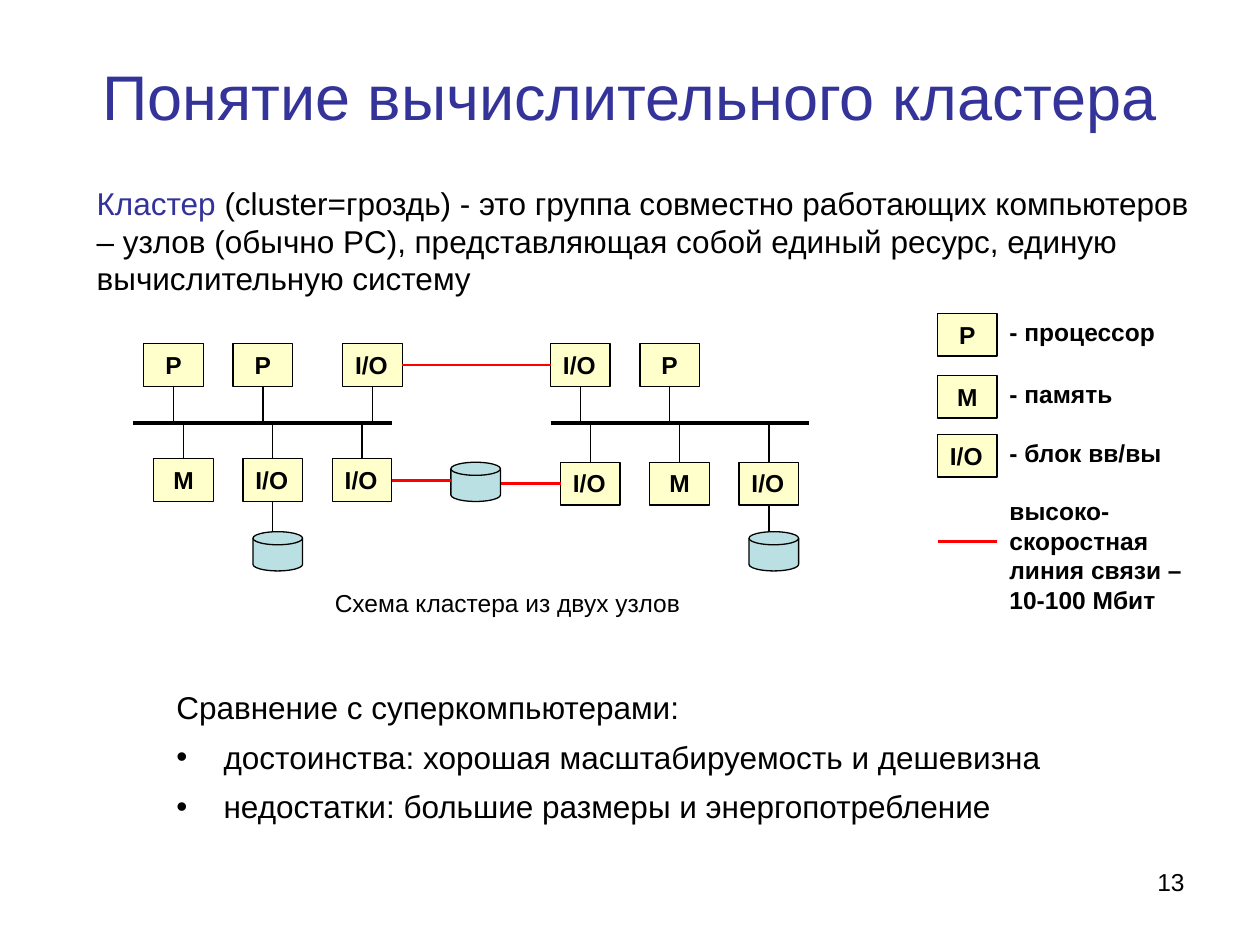
"""Build the slide that explains what a computing cluster is."""
from dataclasses import dataclass
from typing import Optional

from lxml.etree import SubElement
from pptx import Presentation
from pptx.dml.color import RGBColor
from pptx.enum.shapes import MSO_CONNECTOR, MSO_SHAPE
from pptx.enum.text import MSO_ANCHOR, MSO_AUTO_SIZE, PP_ALIGN
from pptx.oxml.ns import qn
from pptx.util import Cm, Pt

BLACK, RED, BLUE = "000000", "FF0000", "333399"
CREAM, AQUA = "FFFFCC", "BBE0E3"
BOX_WIDTH, BOX_HEIGHT, BOX_PITCH = 1.2, 0.86, 1.8
DISK_WIDTH, DISK_HEIGHT, DISK_TOP = 1.0, 0.79, 10.72
BUS_TOP, BUS_LENGTH, UPPER_TOP = 8.53, 5.21, 6.93
LEGEND_LEFT = 18.9
TOP, LEFT, BOTTOM, RIGHT = range(4)

TITLE = {"name": "Arial", "size": Pt(36), "bold": False}
BODY = {"name": "Arial", "size": Pt(18), "bold": False}
SMALL = {"name": "Arial", "size": Pt(14), "bold": False}
LABEL = {"name": "Arial", "size": Pt(14), "bold": True}


@dataclass
class Node:
    """A cluster node: boxes above and below one bus."""
    bus_left: float
    upper: tuple
    lower_left: float
    lower_top: float
    lower: tuple
    disk_index: int


@dataclass
class End:
    """One end of a line, perhaps glued to a side of a box."""
    x: float
    y: float
    box: Optional[object] = None
    side: int = TOP


NODES = (
    Node(2.69, (("P", 2.9), ("P", 4.7), ("I/O", 6.91)), 3.1, 9.25, ("M", "I/O", "I/O"), 1),
    Node(11.1, (("I/O", 11.1), ("P", 12.9)), 11.3, 9.32, ("I/O", "M", "I/O"), 2),
)
LEGEND = (("P", "- процессор", 6.32), ("M", "- память", 7.57), ("I/O", "- блок вв/вы", 8.76))


def colour(value: str) -> RGBColor:
    """Turn a hex string into a colour."""
    return RGBColor.from_string(value)


def write(para, text: str, style: dict, ink: str = BLACK) -> None:
    """Add a formatted span to a paragraph."""
    span = para.add_run()
    span.text = text
    for name, value in style.items():
        setattr(span.font, name, value)
    span.font.color.rgb = colour(ink)


def place(shape, left: float, top: float, width: float, height: float) -> None:
    """Move and size a shape, in centimetres."""
    for name, value in zip(("left", "top", "width", "height"), (left, top, width, height)):
        setattr(shape, name, Cm(value))


def add_text(page, left: float, top: float, width: float, height: float, spans: tuple,
             before: float = 8.8, align=PP_ALIGN.LEFT):
    """Add a wrapping text box with one paragraph."""
    box = page.shapes.add_textbox(Cm(left), Cm(top), Cm(width), Cm(height))
    box.text_frame.word_wrap = True
    para = box.text_frame.paragraphs[0]
    para.alignment, para.space_before = align, Pt(before)
    for span in spans:
        write(para, *span)
    return box


def add_solid(page, kind, left: float, top: float, width: float, height: float, fill: str):
    """Add a filled preset shape with a thin black outline."""
    shape = page.shapes.add_shape(kind, Cm(left), Cm(top), Cm(width), Cm(height))
    shape.shadow.inherit = False
    shape.fill.solid()
    shape.fill.fore_color.rgb = colour(fill)
    shape.line.color.rgb = colour(BLACK)
    shape.line.width = Pt(0.75)
    return shape


def add_box(page, label: str, left: float, top: float):
    """Add a labelled unit box."""
    box = add_solid(page, MSO_SHAPE.RECTANGLE, left, top, BOX_WIDTH, BOX_HEIGHT, CREAM)
    box.text_frame.word_wrap = False
    box.text_frame.vertical_anchor = MSO_ANCHOR.TOP
    para = box.text_frame.paragraphs[0]
    para.alignment = PP_ALIGN.LEFT if label == "I/O" else PP_ALIGN.CENTER
    para.space_before = Pt(8.8)
    write(para, label, LABEL)
    return box


def add_disk(page, left: float, top: float):
    """Add a disk store."""
    return add_solid(page, MSO_SHAPE.FLOWCHART_MAGNETIC_DISK, left, top,
                     DISK_WIDTH, DISK_HEIGHT, AQUA)


def side_of(box, side: int) -> End:
    """Give the middle of a box's side as a glued line end."""
    across = {LEFT: 0, RIGHT: 1}.get(side, 0.5)
    down = {TOP: 0, BOTTOM: 1}.get(side, 0.5)
    return End(box.left.cm + box.width.cm * across, box.top.cm + box.height.cm * down, box, side)


def add_line(page, begin: End, end: End, ink: str = BLACK, width: float = 0.75) -> None:
    """Draw a straight line and glue the ends that belong to boxes."""
    line = page.shapes.add_connector(MSO_CONNECTOR.STRAIGHT, Cm(begin.x), Cm(begin.y),
                                     Cm(end.x), Cm(end.y))
    if begin.box is not None:
        line.begin_connect(begin.box, begin.side)
    if end.box is not None:
        line.end_connect(end.box, end.side)
    line.line.color.rgb = colour(ink)
    line.line.width = Pt(width)
    SubElement(line._element.spPr, qn("a:effectLst"))


def add_node(page, node: Node) -> tuple:
    """Draw a node and return its upper and lower boxes."""
    upper = [add_box(page, label, left, UPPER_TOP) for label, left in node.upper]
    lower = [add_box(page, label, node.lower_left + BOX_PITCH * index, node.lower_top)
             for index, label in enumerate(node.lower)]
    add_line(page, End(node.bus_left, BUS_TOP), End(node.bus_left + BUS_LENGTH, BUS_TOP),
             width=2.25)
    stems = [side_of(box, BOTTOM) for box in upper] + [side_of(box, TOP) for box in lower]
    for stem in stems:
        add_line(page, stem, End(stem.x, BUS_TOP))
    owner = side_of(lower[node.disk_index], BOTTOM)
    add_disk(page, owner.x - BOX_WIDTH / 2 + 0.2, DISK_TOP)
    add_line(page, owner, End(owner.x, DISK_TOP))
    return upper, lower


def add_network(page) -> None:
    """Draw both nodes, the shared disk and the fast links."""
    (first_upper, first_lower), (second_upper, second_lower) = [
        add_node(page, node) for node in NODES]
    disk = add_disk(page, 9.09, 9.32)
    add_line(page, side_of(first_upper[-1], RIGHT), side_of(second_upper[0], LEFT), RED, 1.5)
    for start, edge in ((side_of(first_lower[-1], RIGHT), disk.left.cm),
                        (side_of(second_lower[0], LEFT), disk.left.cm + DISK_WIDTH)):
        add_line(page, start, End(edge, start.y), RED, 1.5)
    add_text(page, 6.5, 11.73, 7.8, 0.86, (("Схема кластера из двух узлов", SMALL),))


def add_legend(page) -> None:
    """Explain the boxes and the red line."""
    text_left = LEGEND_LEFT + BOX_WIDTH
    for label, meaning, top in LEGEND:
        add_box(page, label, LEGEND_LEFT, top)
        add_text(page, text_left, top - 0.05, 3.78, 0.86, ((meaning, LABEL),))
    add_line(page, End(LEGEND_LEFT, 10.92), End(text_left, 10.92), RED, 1.5)
    add_text(page, text_left, 9.88, 4.19, 2.64,
             (("высоко-скоростная линия связи – 10-100 Мбит", LABEL),))


def fill_placeholders(page) -> None:
    """Write the title and the comparison list."""
    title, body = page.shapes.title, page.placeholders[1]
    place(title, 0, 0.33, 25.4, 3.18)
    place(body, 3.3, 13.74, 18.6, 3.02)
    for shape, anchor in ((title, MSO_ANCHOR.MIDDLE), (body, MSO_ANCHOR.TOP)):
        shape.text_frame.auto_size = MSO_AUTO_SIZE.NONE
        shape.text_frame.vertical_anchor = anchor
    write(title.text_frame.paragraphs[0], "Понятие вычислительного кластера", TITLE, BLUE)
    heading = body.text_frame.paragraphs[0]
    properties = heading._p.get_or_add_pPr()
    properties.set("marL", "0")
    properties.set("indent", "0")
    SubElement(properties, qn("a:buNone"))
    write(heading, "Сравнение с суперкомпьютерами:", BODY)
    for text in ("достоинства: хорошая масштабируемость и дешевизна",
                 "недостатки: большие размеры и энергопотребление"):
        write(body.text_frame.add_paragraph(), text, BODY)
    for para in body.text_frame.paragraphs:
        para.space_before = Pt(6.8)


def main() -> None:
    """Build and save the deck."""
    deck = Presentation()
    deck.slide_width, deck.slide_height = Cm(25.4), Cm(19.05)
    page = deck.slides.add_slide(deck.slide_layouts[1])
    fill_placeholders(page)
    add_text(page, 1.7, 3.58, 23.01, 2.54, (
        ("Кластер", BODY, BLUE),
        (" (cluster=гроздь) - это группа совместно работающих компьютеров – узлов (обычно PС), "
         "представляющая собой единый ресурс, единую вычислительную систему", BODY)), 11.2)
    add_network(page)
    add_legend(page)
    add_text(page, 18.21, 17.35, 5.92, 1.32, (("13", SMALL),), 0, PP_ALIGN.RIGHT)
    deck.save("out.pptx")


if __name__ == "__main__":
    main()
